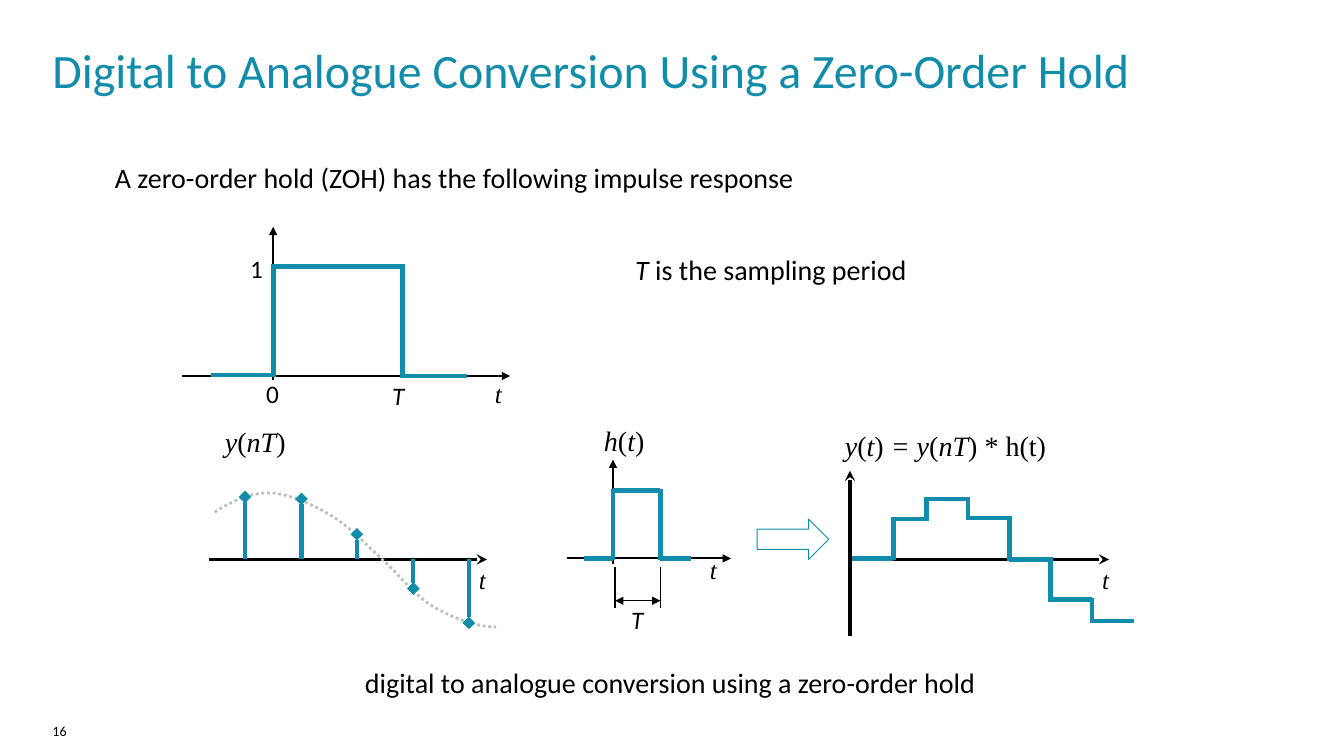
from dataclasses import dataclass

from lxml import etree
from pptx import Presentation
from pptx import util as u
from pptx.dml.color import RGBColor
from pptx.enum import dml, shapes, text
from pptx.oxml.ns import qn


@dataclass(frozen=True)
class Theme:
    teal: str = "128CAB"
    black: str = "000000"
    grey: str = "BFBFBF"
    sans: str = "Calibri"
    serif: str = "Times New Roman"
    title: float = 34.2
    body: float = 20
    label: float = 18
    footer: float = 10


class SlideBuilder:
    def __init__(self, slide, theme):
        self.slide = slide
        self.theme = theme

    def add_text(self, x, y, width, height, marked_text, size, font=None, color=None,
                 anchor=text.MSO_ANCHOR.TOP):
        box = self.slide.shapes.add_textbox(*map(u.Inches, (x, y, width, height)))
        frame = box.text_frame
        frame_format = {"margin_left": 0, "margin_top": 0, "margin_right": 0,
                        "margin_bottom": 0, "word_wrap": False,
                        "vertical_anchor": anchor}
        for name, value in frame_format.items():
            setattr(frame, name, value)
        for index, part in enumerate(marked_text.split("_")):
            if part:
                run = frame.paragraphs[0].add_run()
                run.text = part
                run_format = {"name": font or self.theme.sans, "size": u.Pt(size),
                              "italic": index % 2 == 1}
                for name, value in run_format.items():
                    setattr(run.font, name, value)
                run.font.color.rgb = RGBColor.from_string(color or self.theme.black)

    def outline(self, shape, color, width, dash=None):
        shape.line.color.rgb = RGBColor.from_string(color)
        for name, value in {"width": u.Pt(width), "dash_style": dash}.items():
            setattr(shape.line, name, value)

    def line(self, start, end, width, color=None, head=None, tail=None):
        connector = self.slide.shapes.add_connector(
            shapes.MSO_CONNECTOR.STRAIGHT, *map(u.Inches, (*start, *end)))
        self.outline(connector, color or self.theme.black, width)
        properties = connector._element.spPr
        for tag, kind in (("a:headEnd", head), ("a:tailEnd", tail)):
            if kind:
                etree.SubElement(properties.find(qn("a:ln")), qn(tag), type=kind)
        etree.SubElement(properties, qn("a:effectLst"))

    def staircase(self, edges, levels, width):
        overlap = 0.02
        for left, right, level in zip(edges, edges[1:], levels):
            self.line((left, level), (right, level), width, self.theme.teal)
        for x, before, after in zip(edges[1:], levels, levels[1:]):
            top, bottom = sorted((before, after))
            self.line((x, top - overlap), (x, bottom + overlap), width, self.theme.teal)

    def stem(self, x, axis, value):
        self.line((x, value), (x, axis), 3, self.theme.teal, head="diamond")

    def curve(self, points, width):
        start, *controls = [tuple(map(u.Inches, point)) for point in points]
        builder = self.slide.shapes.build_freeform(*start)
        builder.add_line_segments(controls, close=False)
        shape = builder.convert_to_shape()
        shape.shadow.inherit = False
        shape.fill.background()
        self.outline(shape, self.theme.grey, width, dml.MSO_LINE.ROUND_DOT)
        outline_path = shape._element.find(".//" + qn("a:path"))
        segments = outline_path.findall(qn("a:lnTo"))
        for first in range(0, len(segments), 3):
            bezier = etree.SubElement(outline_path, qn("a:cubicBezTo"))
            for segment in segments[first:first + 3]:
                bezier.append(segment[0])
                outline_path.remove(segment)

    def block_arrow(self, x, y, width, height):
        shape = self.slide.shapes.add_shape(
            shapes.MSO_SHAPE.RIGHT_ARROW, *map(u.Inches, (x, y, width, height)))
        shape.shadow.inherit = False
        shape.fill.background()
        self.outline(shape, self.theme.teal, 0.75)


def draw_impulse_response(page):
    theme = page.theme
    page.add_text(1.14, 1.59, 7, 0.4,
                  "A zero-order hold (ZOH) has the following impulse response", theme.body)
    page.add_text(6.3, 2.51, 3, 0.4, "_T_ is the sampling period", theme.body)
    page.line((2.71, 2.25), (2.71, 3.77), 1.5, head="triangle")
    page.line((5.06, 3.73), (1.81, 3.73), 1.5, head="triangle")
    page.staircase([2.09, 2.71, 3.99, 4.63], [3.72, 2.64, 3.73], 3.5)
    page.add_text(2.48, 2.51, 0.2, 0.3, "1", theme.label)
    page.add_text(2.64, 3.75, 0.28, 0.3, "0", theme.label)
    page.add_text(3.89, 3.77, 0.27, 0.3, "_T_", theme.label)
    page.add_text(4.91, 3.75, 0.27, 0.3, "_t_", theme.label, theme.serif)


def draw_samples(page):
    theme = page.theme
    axis = 5.55
    page.add_text(2.23, 4.21, 0.69, 0.28, "_y_(_nT_)", theme.body, theme.serif)
    page.line((2.07, axis), (4.83, axis), 2.5, tail="stealth")
    page.add_text(4.75, 5.6, 0.17, 0.28, "_t_", theme.label, theme.serif)
    page.curve([(2.13, 5.08), (2.31, 4.97), (2.47, 4.89), (2.66, 4.89),
                (2.84, 4.89), (3.07, 4.99), (3.26, 5.1),
                (3.45, 5.21), (3.62, 5.39), (3.79, 5.55),
                (3.96, 5.7), (4.11, 5.91), (4.3, 6.02),
                (4.49, 6.13), (4.72, 6.22), (4.92, 6.22)], 2)
    for x, value in ((2.43, 4.93), (2.99, 4.95), (3.54, 5.3), (4.1, 5.84), (4.65, 6.18)):
        page.stem(x, axis, value)


def draw_hold(page):
    theme = page.theme
    page.add_text(5.99, 4.2, 0.69, 0.28, "_h_(_t_)", theme.body, theme.serif)
    page.line((6.08, 4.56), (6.08, 5.6), 1.5, head="triangle")
    page.line((7.25, 5.54), (5.62, 5.54), 1.5, head="triangle")
    page.staircase([5.79, 6.08, 6.55, 6.85], [5.54, 4.87, 5.54], 3.5)
    page.add_text(7.04, 5.5, 0.27, 0.3, "_t_", theme.label, theme.serif)
    for x in (6.1, 6.55):
        page.line((x, 5.63), (x, 6.03), 1)
    page.line((6.55, 5.96), (6.1, 5.96), 1, head="triangle", tail="triangle")
    page.add_text(6.26, 5.99, 0.27, 0.31, "_T_", theme.label)
    page.block_arrow(7.51, 5.15, 0.71, 0.4)


def draw_output(page):
    theme = page.theme
    page.add_text(8.38, 4.25, 2.2, 0.28, "_y_(_t_)_ = y_(_nT_) * h(t)", theme.body, theme.serif)
    page.line((8.55, 5.55), (11, 5.55), 2.5, tail="stealth")
    page.add_text(10.93, 5.6, 0.15, 0.28, "_t_", theme.label, theme.serif)
    page.staircase([8.43, 8.86, 9.19, 9.6, 10.01, 10.42, 10.83, 11.25],
                   [5.54, 5.15, 4.95, 5.14, 5.55, 5.95, 6.16], 3.35)
    page.line((8.43, 6.31), (8.43, 4.67), 2.5, tail="stealth")


def main():
    presentation = Presentation()
    presentation.slide_width = u.Inches(13.33)
    presentation.slide_height = u.Inches(7.5)
    theme = Theme()
    page = SlideBuilder(presentation.slides.add_slide(presentation.slide_layouts[6]), theme)
    page.add_text(0.52, 0.37, 12.2, 0.63,
                  "Digital to Analogue Conversion Using a Zero-Order Hold",
                  theme.title, color=theme.teal, anchor=text.MSO_ANCHOR.MIDDLE)
    draw_impulse_response(page)
    draw_samples(page)
    draw_hold(page)
    draw_output(page)
    page.add_text(3.62, 6.6, 6.08, 0.4,
                  "digital to analogue conversion using a zero-order hold", theme.body)
    page.add_text(0.52, 7.17, 1.42, 0.26, "16", theme.footer)
    presentation.save("out.pptx")


if __name__ == "__main__":
    main()
